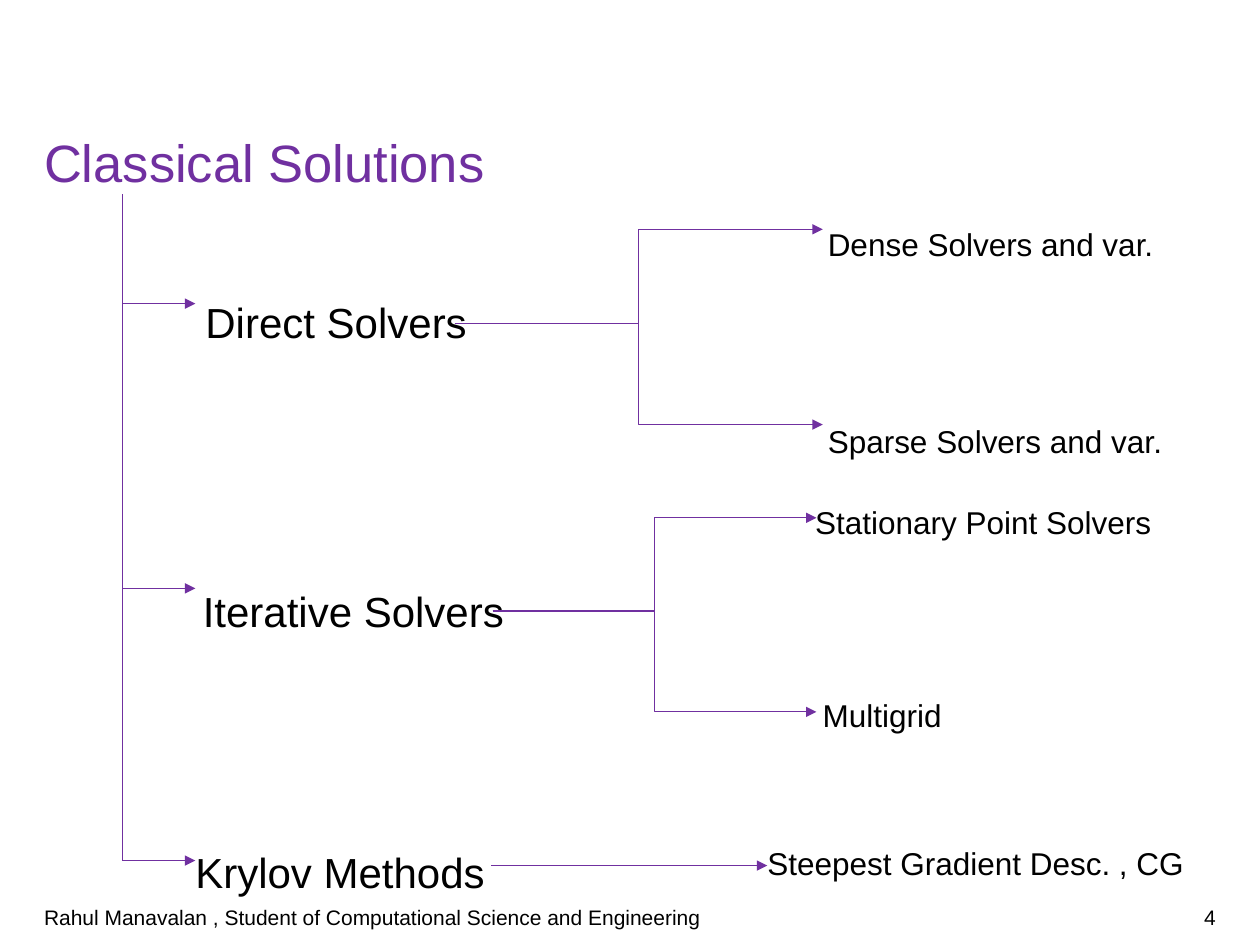
from lxml.etree import SubElement
from pptx import Presentation
from pptx.dml.color import RGBColor
from pptx.enum.shapes import MSO_CONNECTOR as Kind
from pptx.enum.text import MSO_ANCHOR as Anchor, PP_ALIGN as Align
from pptx.oxml.ns import qn
from pptx.util import Inches, Pt

PURPLE = RGBColor(0x70, 0x30, 0xA0)
BLACK = RGBColor(0, 0, 0)
WIDE, HIGH = 10, 7.5

# Content: each method with its place, branch height, fork and leaves
TITLE = "Classical Solutions"
FOOTER = "Rahul Manavalan , Student of Computational Science and Engineering"
NUMBER = "4"
METHODS = [
    {"name": "Direct Solvers", "at": (1.63, 2.3), "branch": 2.41,
     "fork": (3.61, 2.57), "tip": 6.53,
     "leaves": [("Dense Solvers and var.", 6.57, 1.74, 1.82),
                ("Sparse Solvers and var.", 6.57, 3.31, 3.37)]},
    {"name": "Iterative Solvers", "at": (1.61, 4.59), "branch": 4.67,
     "fork": (3.91, 4.85), "tip": 6.48,
     "leaves": [("Stationary Point Solvers", 6.47, 3.95, 4.11),
                ("Multigrid", 6.53, 5.48, 5.65)]},
    {"name": "Krylov Methods", "at": (1.55, 6.66), "branch": 6.83,
     "fork": (3.9, 6.87), "tip": 6.09,
     "leaves": [("Steepest Gradient Desc. , CG", 6.09, 6.66, 6.87)]},
]

# Layout
EDGE = 0.035 * WIDE
TRUNK, STEM = 0.97, 1.55
TITLE_TOP, TITLE_H = 1.09, 0.45
FOOT_TOP, FOOT_H = 7.08, 0.4
NUM_W = 2.24

deck = Presentation()
deck.slide_width, deck.slide_height = Inches(WIDE), Inches(HIGH)
slide = deck.slides.add_slide(deck.slide_layouts[6])


def write(text, x, y, w, h, size=18, color=BLACK, space=1.14,
          align=Align.LEFT, anchor=Anchor.TOP):
    box = slide.shapes.add_textbox(*map(Inches, (x, y, w, h)))
    frame = box.text_frame
    frame.word_wrap = True
    frame.vertical_anchor = anchor
    frame.margin_left = frame.margin_right = 0
    frame.margin_top = frame.margin_bottom = 0
    par = frame.paragraphs[0]
    par.alignment, par.line_spacing = align, space
    run = par.add_run()
    run.text = text
    run.font.name, run.font.size = "Arial", Pt(size)
    run.font.color.rgb = color


def link(start, end, kind=Kind.STRAIGHT, arrow=True):
    line = slide.shapes.add_connector(kind, *map(Inches, (*start, *end)))
    line.line.color.rgb = PURPLE
    line.line.width = Pt(0.75)
    if arrow:
        SubElement(line.line._get_or_add_ln(), qn("a:tailEnd"), type="triangle")
    SubElement(line._element.spPr, qn("a:effectLst"))


# Title and footer
write(TITLE, EDGE, TITLE_TOP, WIDE - 2 * EDGE, TITLE_H,
      size=30, color=PURPLE, space=Pt(32))
num_x = WIDE - EDGE - NUM_W
write(FOOTER, EDGE, FOOT_TOP, num_x - EDGE, FOOT_H,
      size=12, space=1, anchor=Anchor.MIDDLE)
write(NUMBER, num_x, FOOT_TOP, NUM_W, FOOT_H,
      size=12, space=1, align=Align.RIGHT, anchor=Anchor.MIDDLE)

# Trunk
link((TRUNK, TITLE_TOP + TITLE_H), (TRUNK, METHODS[-1]["branch"]), arrow=False)

# Branches, forks and leaves
for item in METHODS:
    y = item["branch"]
    link((TRUNK, y), (STEM, y))
    write(item["name"], *item["at"], 2.61, 0.42, size=24)
    for leaf, x, top, tip_y in item["leaves"]:
        kind = Kind.STRAIGHT if tip_y == item["fork"][1] else Kind.ELBOW
        link(item["fork"], (item["tip"], tip_y), kind)
        write(leaf, x, top, WIDE - x, 0.32)

deck.save("out.pptx")
